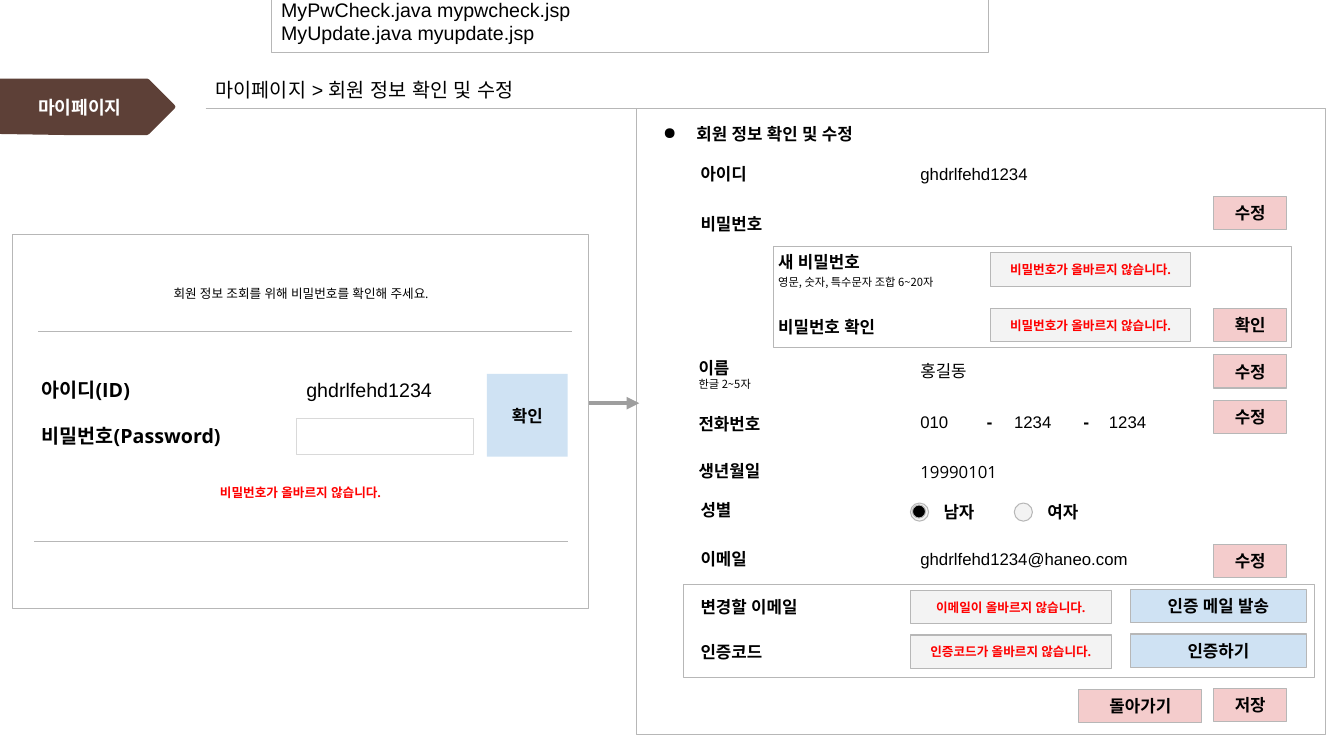
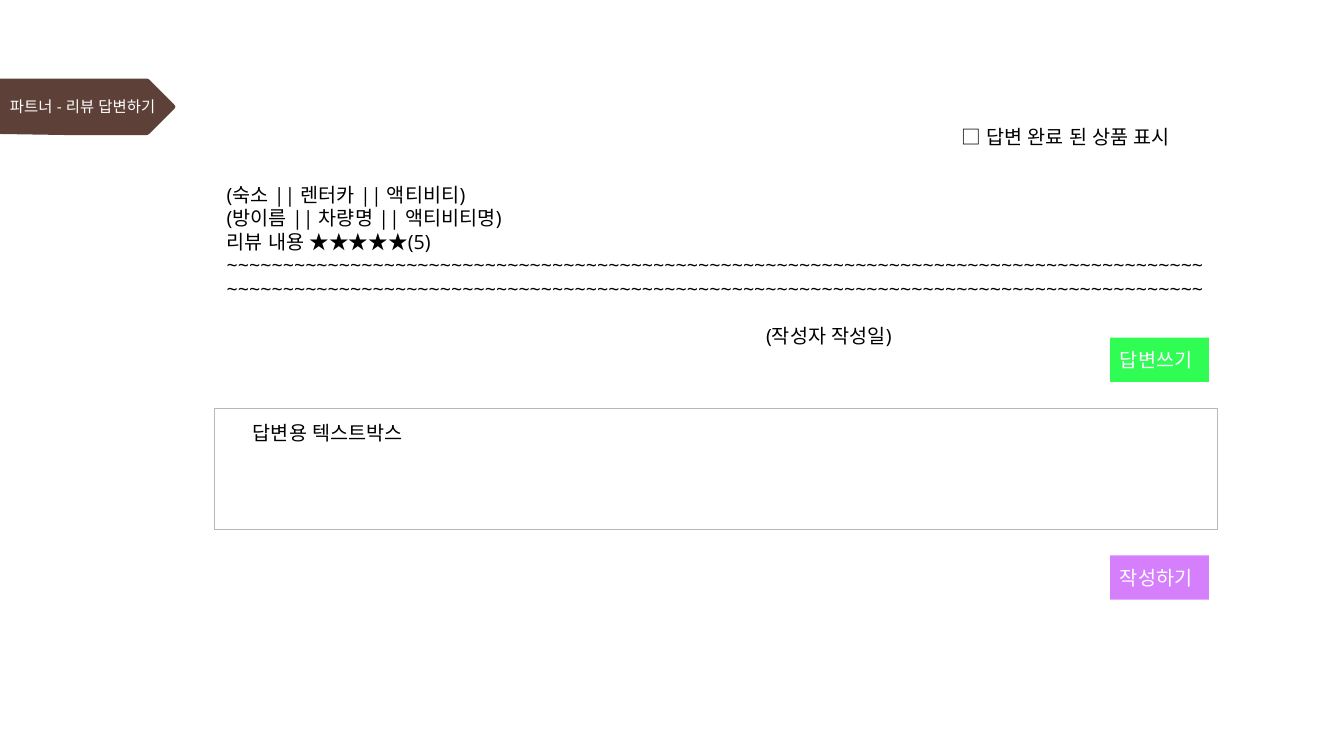
from lxml import etree
from pptx import Presentation, util as u
from pptx.dml.color import RGBColor
from pptx.enum import shapes as kinds, text as styles
from pptx.oxml import ns

BODY, PLAIN, NOTE = "Open Sans", "Arial", "Noto Sans CJK KR"
BLACK, WHITE, RED = "000000", "FFFFFF", "FF0000"
BROWN, GREY, LIGHT_GREY, PALE = "5D4037", "B7B7B7", "D9D9D9", "F3F3F3"
ARROW_GREY, PINK, BLUE = "9E9E9E", "F4CCCC", "CFE2F3"
GREEN, PURPLE = "00FD2D", "AC00FD"
LEFT, CENTER, JUSTIFY, RIGHT = (
    styles.PP_ALIGN.LEFT, styles.PP_ALIGN.CENTER,
    styles.PP_ALIGN.JUSTIFY, styles.PP_ALIGN.RIGHT)
TOP, MIDDLE = styles.MSO_ANCHOR.TOP, styles.MSO_ANCHOR.MIDDLE
RECTANGLE = kinds.MSO_SHAPE.RECTANGLE
OVAL = kinds.MSO_SHAPE.OVAL


def color(value):
    return RGBColor.from_string(value)


def add_xml(parent, tag, **attributes):
    child = etree.SubElement(parent, ns.qn(tag))
    for name, value in attributes.items():
        child.set(name, value)
    return child


def write(shape, content, size=12, font=BODY, ink=BLACK, bold=False,
          align=LEFT, anchor=TOP, inset=0.1):
    """Put one paragraph per line of content into the shape."""
    frame = shape.text_frame
    frame.word_wrap = True
    frame.vertical_anchor = anchor
    frame.margin_left = frame.margin_right = u.Inches(0.1)
    frame.margin_top = frame.margin_bottom = u.Inches(inset)
    for index, line in enumerate(content.split("\n")):
        paragraph = frame.paragraphs[0] if index == 0 else frame.add_paragraph()
        paragraph.alignment = align
        run = paragraph.add_run()
        run.text = line
        run.font.size = u.Pt(size)
        run.font.bold = bold
        run.font.name = font
        run.font.color.rgb = color(ink)
        for tag in ("a:ea", "a:cs"):
            add_xml(run.font._element, tag, typeface=font)


def add_text(slide, left, top, width, height, content, **style):
    box = slide.shapes.add_textbox(*map(u.Inches, (left, top, width, height)))
    write(box, content, **style)
    return box


def add_box(slide, left, top, width, height, fill=None, line=GREY,
            kind=RECTANGLE, opacity=None):
    box = slide.shapes.add_shape(kind, *map(u.Inches, (left, top, width, height)))
    box.shadow.inherit = False
    if fill:
        box.fill.solid()
        box.fill.fore_color.rgb = color(fill)
    else:
        box.fill.background()
    if opacity:
        fill_color = box._element.spPr.find(".//" + ns.qn("a:srgbClr"))
        add_xml(fill_color, "a:alpha", val=str(opacity * 1000))
    if line:
        box.line.color.rgb = color(line)
        box.line.width = u.Pt(0.75)
    else:
        box.line.fill.background()
    return box


def add_line(slide, left, right, height, ink=GREY, weight=0.75, arrow=False):
    line = slide.shapes.add_connector(
        kinds.MSO_CONNECTOR.STRAIGHT,
        *map(u.Inches, (left, height, right, height)))
    line.line.color.rgb = color(ink)
    line.line.width = u.Pt(weight)
    if arrow:
        add_xml(line.line._get_or_add_ln(), "a:tailEnd", type="triangle")
    add_xml(line._element.spPr, "a:effectLst")


def add_button(slide, left, top, width, label, fill=PINK, height=0.33):
    button = add_box(slide, left, top, width, height, fill,
                     line=GREY if height < 0.5 else None)
    write(button, label, bold=True, align=CENTER, anchor=MIDDLE, inset=0)


def add_error_field(slide, left, top, message):
    field = add_box(slide, left, top, 1.99, 0.33, PALE)
    write(field, message, size=9, ink=RED, bold=True, align=CENTER,
          anchor=MIDDLE, inset=0)


def add_value(slide, left, top, width, content):
    add_text(slide, left, top, width, 0.33, content, font=PLAIN, anchor=MIDDLE)


def add_label(slide, left, top, content, **style):
    return add_text(slide, left, top, 2.5, 0.4, content, bold=True, **style)


def add_slide(presentation):
    """Add a blank slide with the brown section tag at its left edge."""
    slide = presentation.slides.add_slide(presentation.slide_layouts[6])
    outline = [(0, 0.78), (1.46, 0.78), (1.48, 0.79), (1.73, 1.04), (1.74, 1.06),
               (1.73, 1.08), (1.48, 1.33), (1.46, 1.34), (0.64, 1.34), (0, 1.33)]
    points = [(u.Inches(x), u.Inches(y)) for x, y in outline]
    builder = slide.shapes.build_freeform(*points[0])
    builder.add_line_segments(points[1:])
    tag = builder.convert_to_shape()
    tag.shadow.inherit = False
    tag.fill.solid()
    tag.fill.fore_color.rgb = color(BROWN)
    tag.line.fill.background()
    return slide


def add_password_check(slide):
    add_box(slide, 0.12, 2.33, 5.72, 3.71)
    add_text(slide, 1, 2.76, 3.97, 0.35,
             "회원 정보 조회를 위해 비밀번호를 확인해 주세요.", size=9, align=CENTER)
    add_line(slide, 0.38, 5.67, 3.29)
    add_label(slide, 0.31, 3.65, "아이디(ID)", size=14)
    add_text(slide, 2.94, 3.65, 1.76, 0.44, "ghdrlfehd1234", size=14, font=PLAIN)
    add_label(slide, 0.31, 4.11, "비밀번호(Password)", size=14)
    add_box(slide, 2.94, 4.15, 1.76, 0.36, line=LIGHT_GREY)
    add_button(slide, 4.83, 3.71, 0.8, "확인", BLUE, height=0.82)
    add_text(slide, 1.3, 4.73, 3.36, 0.35, "비밀번호가 올바르지 않습니다.",
             size=9, ink=RED, bold=True, align=CENTER)
    add_line(slide, 0.34, 5.63, 5.37)


def add_member_form(slide):
    add_box(slide, 6.31, 1.08, 6.84, 6.21)
    heading = add_label(slide, 6.31, 1.13, "회원 정보 확인 및 수정")
    properties = heading.text_frame.paragraphs[0]._p.get_or_add_pPr()
    properties.set("marL", str(u.Inches(0.5)))
    properties.set("indent", str(u.Inches(-0.33)))
    add_xml(add_xml(properties, "a:buClr"), "a:srgbClr", val=BLACK)
    add_xml(properties, "a:buChar", char="●")

    add_box(slide, 7.67, 2.45, 5.14, 1)
    add_box(slide, 6.78, 5.8, 6.26, 0.92)

    for left, top, label in [
            (6.85, 1.52, "아이디"), (6.85, 2.02, "비밀번호"),
            (7.62, 2.4, "새 비밀번호"), (7.62, 3.04, "비밀번호 확인"),
            (6.83, 3.45, "이름"), (6.83, 4, "전화번호"),
            (6.83, 4.47, "생년월일"), (6.85, 4.86, "성별"),
            (6.85, 5.34, "이메일"), (6.85, 5.82, "변경할 이메일"),
            (6.85, 6.27, "인증코드"), (9.26, 4.88, "남자"), (10.29, 4.88, "여자")]:
        add_label(slide, left, top, label)
    for left, top, hint in [(7.62, 2.66, "영문, 숫자, 특수문자 조합 6~20자"),
                            (6.83, 3.68, "한글 2~5자")]:
        add_text(slide, left, top, 2.49, 0.34, hint, size=8, font=NOTE, align=JUSTIFY)

    for left, top, width, value in [
            (9.03, 1.56, 1.99, "ghdrlfehd1234"), (9.03, 3.51, 1.22, "홍길동"),
            (9.03, 4.02, 0.66, "010"), (9.96, 4.02, 0.66, "1234"),
            (10.9, 4.02, 0.66, "1234"), (9.03, 5.38, 2.34, "ghdrlfehd1234@haneo.com")]:
        add_value(slide, left, top, width, value)
    for left in (9.64, 10.6):
        add_text(slide, left, 3.98, 0.3, 0.4, "-", bold=True, align=RIGHT)
    add_text(slide, 9.03, 4.48, 1.05, 0.4, "19990101")

    for left in (9.03, 10.06):
        add_box(slide, left, 4.99, 0.18, 0.18, PALE, kind=OVAL)
    add_box(slide, 9.05, 5.01, 0.13, 0.13, BLACK, kind=OVAL)

    for left, top, subject in [(9.82, 2.51, "비밀번호가"), (9.82, 3.06, "비밀번호가"),
                               (9.03, 5.86, "이메일이"), (9.03, 6.3, "인증코드가")]:
        add_error_field(slide, left, top, f"{subject} 올바르지 않습니다.")

    for top, label in [(1.95, "수정"), (3.06, "확인"), (3.52, "수정"),
                       (3.97, "수정"), (5.4, "수정"), (6.83, "저장")]:
        add_button(slide, 12.04, top, 0.72, label)
    add_button(slide, 10.7, 6.84, 1.22, "돌아가기")
    for top, label in [(5.85, "인증 메일 발송"), (6.29, "인증하기")]:
        add_button(slide, 11.21, top, 1.75, label, BLUE)


def add_my_page(presentation):
    slide = add_slide(presentation)
    add_text(slide, -0.2, 0.91, 1.98, 0.76, "마이페이지", size=13, ink=WHITE,
             bold=True, align=CENTER, inset=0.05)
    add_text(slide, 2.04, 0.64, 4.23, 0.5, "마이페이지 > 회원 정보 확인 및 수정",
             size=14, font=PLAIN, anchor=MIDDLE)
    add_line(slide, 2.04, 11.8, 1.08)
    add_password_check(slide)
    add_member_form(slide)
    add_line(slide, 5.84, 6.34, 4, ARROW_GREY, 3, arrow=True)
    source_files = add_box(slide, 2.69, -0.1, 7.11, 0.62, WHITE)
    write(source_files, "MyPwCheck.java mypwcheck.jsp\nMyUpdate.java myupdate.jsp",
          size=14, font=PLAIN, anchor=MIDDLE)


def add_review_reply(presentation):
    slide = add_slide(presentation)
    add_text(slide, 0, 0.87, 1.98, 0.39, "파트너 - 리뷰 답변하기", size=11, ink=WHITE)
    add_text(slide, 9.44, 1.14, 2.64, 0.44, "□ 답변 완료 된 상품 표시", size=14)
    review_lines = ["(숙소 || 렌터카 || 액티비티)", "(방이름 || 차량명 || 액티비티명)",
                    "리뷰 내용 ★★★★★(5)", "~" * 174, "(작성자 작성일)"]
    review = add_text(slide, 2.15, 1.71, 9.91, 1.62, "\n".join(review_lines), size=14)
    author = review.text_frame.paragraphs[-1]
    author.space_before = u.Pt(17)
    author._p.get_or_add_pPr().set("marL", str(u.Inches(5.35)))

    add_box(slide, 2.13, 4.05, 9.95, 1.2)
    add_text(slide, 2.41, 4.08, 9.67, 0.44, "답변용 텍스트박스", size=14)
    for top, label, fill, opacity in [(3.35, "답변쓰기", GREEN, 81),
                                      (5.51, "작성하기", PURPLE, 50)]:
        button = add_box(slide, 11.01, top, 0.98, 0.44, fill, None, opacity=opacity)
        write(button, label, size=14, ink=WHITE)


def main():
    presentation = Presentation()
    presentation.slide_width = u.Inches(13.33)
    presentation.slide_height = u.Inches(7.5)
    add_my_page(presentation)
    add_review_reply(presentation)
    presentation.save("out.pptx")


if __name__ == "__main__":
    main()
